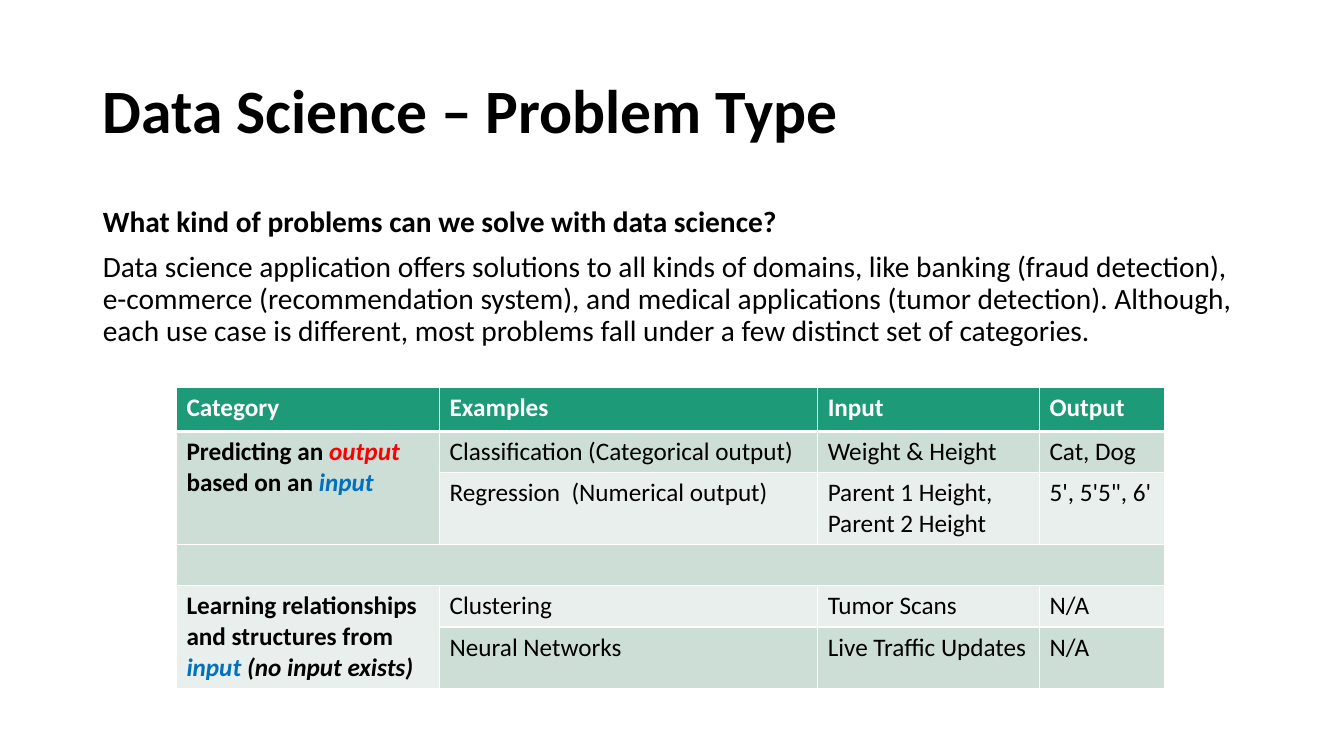
"""Build the slide on data science problem types."""
import pptx
import pptx.util
import pptx.dml.color
import pptx.enum.text
import pptx.oxml.ns
import lxml.etree

PX = 9144
FACE = "Calibri"
RGB = pptx.dml.color.RGBColor
BLACK = RGB(0, 0, 0)
WHITE = RGB(255, 255, 255)
RED = RGB(255, 0, 0)
BLUE = RGB(0, 0x70, 0xC0)
GREEN = RGB(0x1D, 0x9A, 0x78)
SAGE = RGB(0xCD, 0xDE, 0xD6)
MIST = RGB(0xE8, 0xEF, 0xEC)

COLS = [261, 375, 220, 124]
ROWS = [44, 41, 71, 41, 41, 61]
FILLS = [GREEN, SAGE, MIST, SAGE, MIST, SAGE]
HEAD = ["Category", "Examples", "Input", "Output"]
CASES = {
    1: ["Classification (Categorical output)", "Weight & Height", "Cat, Dog"],
    2: ["Regression  (Numerical output)",
        "Parent 1 Height,\nParent 2 Height", "5', 5'5\", 6'"],
    4: ["Clustering", "Tumor Scans", "N/A"],
    5: ["Neural Networks", "Live Traffic Updates", "N/A"],
}
KINDS = {
    1: [[("Predicting an ", BLACK, True, False), ("output", RED, True, True)],
        [("based on an ", BLACK, True, False), ("input", BLUE, True, True)]],
    4: [[("Learning relationships and structures from ", BLACK, True, False),
         ("input ", BLUE, True, True),
         ("(no input exists)", BLACK, True, True)]],
}
LEAD = "What kind of problems can we solve with data science?"
BODY = (
    "Data science application offers solutions to all kinds of domains, "
    "like banking (fraud detection), e-commerce (recommendation system), "
    "and medical applications (tumor detection). Although, each use case "
    "is different, most problems fall under a few distinct set of categories."
)


def add_run(para, size, text, color, bold, ital):
    """Add one styled run to a paragraph."""
    run = para.add_run()
    run.text = text
    font = run.font
    font.name = FACE
    font.size = pptx.util.Pt(size)
    font.color.rgb = color
    font.bold = bold
    font.italic = ital


def put_text(frame, size, paras):
    """Write paragraphs of runs into a frame and return them."""
    for num, runs in enumerate(paras):
        para = frame.paragraphs[0] if num == 0 else frame.add_paragraph()
        for run in runs:
            add_run(para, size, *run)
    return frame.paragraphs


def plain(text, color=BLACK, bold=False):
    """Turn lines of text into paragraphs of one run."""
    return [[(line, color, bold, False)] for line in text.split("\n")]


def fill_holder(shape, box, size, anchor, paras):
    """Place a placeholder and write its paragraphs without bullets."""
    shape.left, shape.top, shape.width, shape.height = [n * PX for n in box]
    frame = shape.text_frame
    frame.word_wrap = True
    frame.auto_size = pptx.enum.text.MSO_AUTO_SIZE.NONE
    frame.vertical_anchor = anchor
    for num, para in enumerate(put_text(frame, size, paras)):
        props = para._p.get_or_add_pPr()
        props.set("marL", "0")
        props.set("indent", "0")
        lxml.etree.SubElement(props, pptx.oxml.ns.qn("a:buNone"))
        para.alignment = pptx.enum.text.PP_ALIGN.LEFT
        para.line_spacing = 0.9
        para.space_before = pptx.util.Pt(10 if num else 0)


def add_edge(cell, side, width):
    """Draw one white cell border."""
    name = pptx.oxml.ns.qn
    props = cell._tc.get_or_add_tcPr()
    line = lxml.etree.SubElement(props, name("a:ln" + side))
    line.set("w", str(pptx.util.Pt(width)))
    fill = lxml.etree.SubElement(line, name("a:solidFill"))
    lxml.etree.SubElement(fill, name("a:srgbClr")).set("val", str(WHITE))


def style_cell(cell, row):
    """Give a cell its borders and row fill."""
    heavy = {(0, "B"), (1, "T")}
    for side in "LRTB":
        add_edge(cell, side, 3 if (row, side) in heavy else 0.96)
    cell.fill.solid()
    cell.fill.fore_color.rgb = FILLS[row]


def add_grid(slide):
    """Add the table of problem categories."""
    box = [n * PX for n in (175, 384, sum(COLS), sum(ROWS))]
    grid = slide.shapes.add_table(len(ROWS), len(COLS), *box).table
    for col, width in zip(grid.columns, COLS):
        col.width = width * PX
    for num, high in enumerate(ROWS):
        grid.rows[num].height = high * PX
        for cell in grid.rows[num].cells:
            style_cell(cell, num)
    for col, text in enumerate(HEAD):
        put_text(grid.cell(0, col).text_frame, 18, plain(text, WHITE, True))
    for row, texts in CASES.items():
        for col, text in enumerate(texts, 1):
            put_text(grid.cell(row, col).text_frame, 18, plain(text))
    for row, paras in KINDS.items():
        grid.cell(row, 0).merge(grid.cell(row + 1, 0))
        put_text(grid.cell(row, 0).text_frame, 18, paras)
    grid.cell(3, 0).merge(grid.cell(3, len(COLS) - 1))


def main():
    """Build and save the slide."""
    deck = pptx.Presentation()
    deck.slide_width = pptx.util.Inches(13.33)
    deck.slide_height = pptx.util.Inches(7.5)
    slide = deck.slides.add_slide(deck.slide_layouts[1])
    anchor = pptx.enum.text.MSO_ANCHOR
    title, body = slide.placeholders
    fill_holder(title, (92, 40, 1150, 145), 44, anchor.MIDDLE,
                plain("Data Science – Problem Type", BLACK, True))
    fill_holder(body, (92, 200, 1150, 476), 21, anchor.TOP,
                plain(LEAD, BLACK, True) + plain(BODY))
    add_grid(slide)
    deck.save("out.pptx")


if __name__ == "__main__":
    main()
